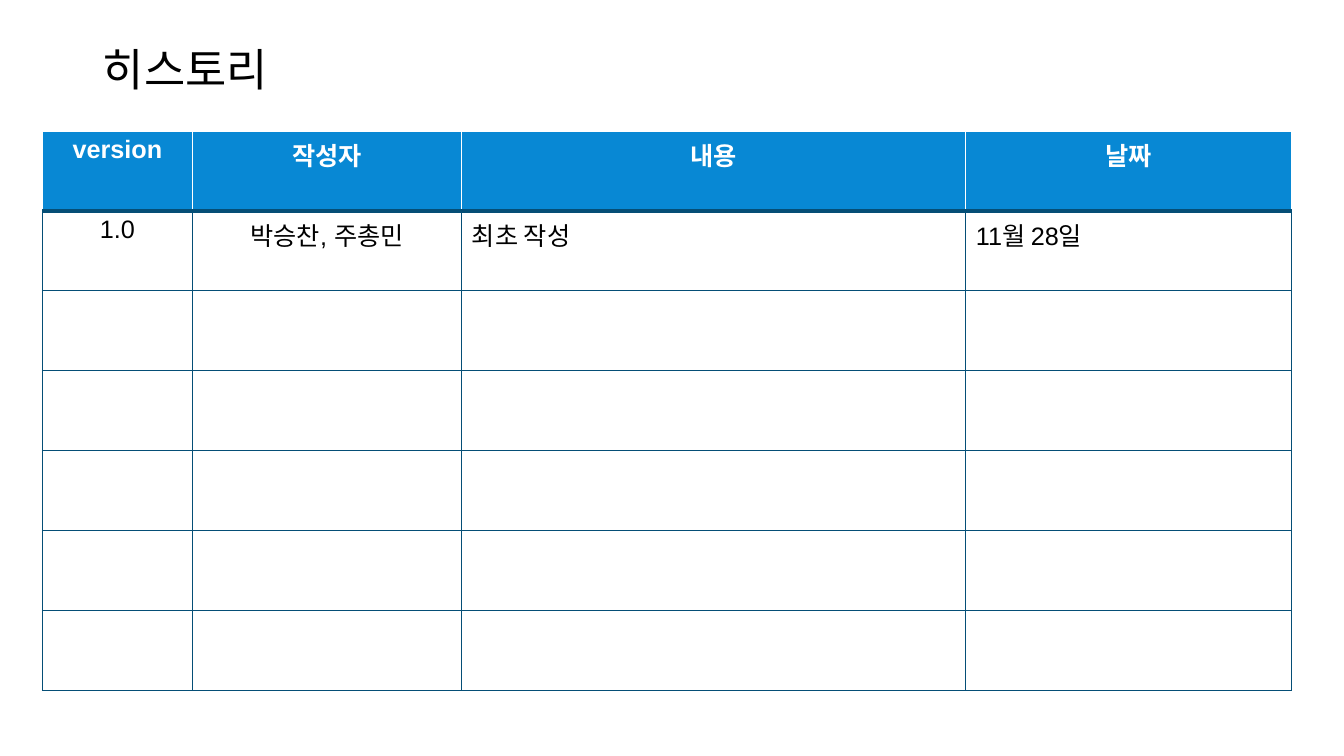
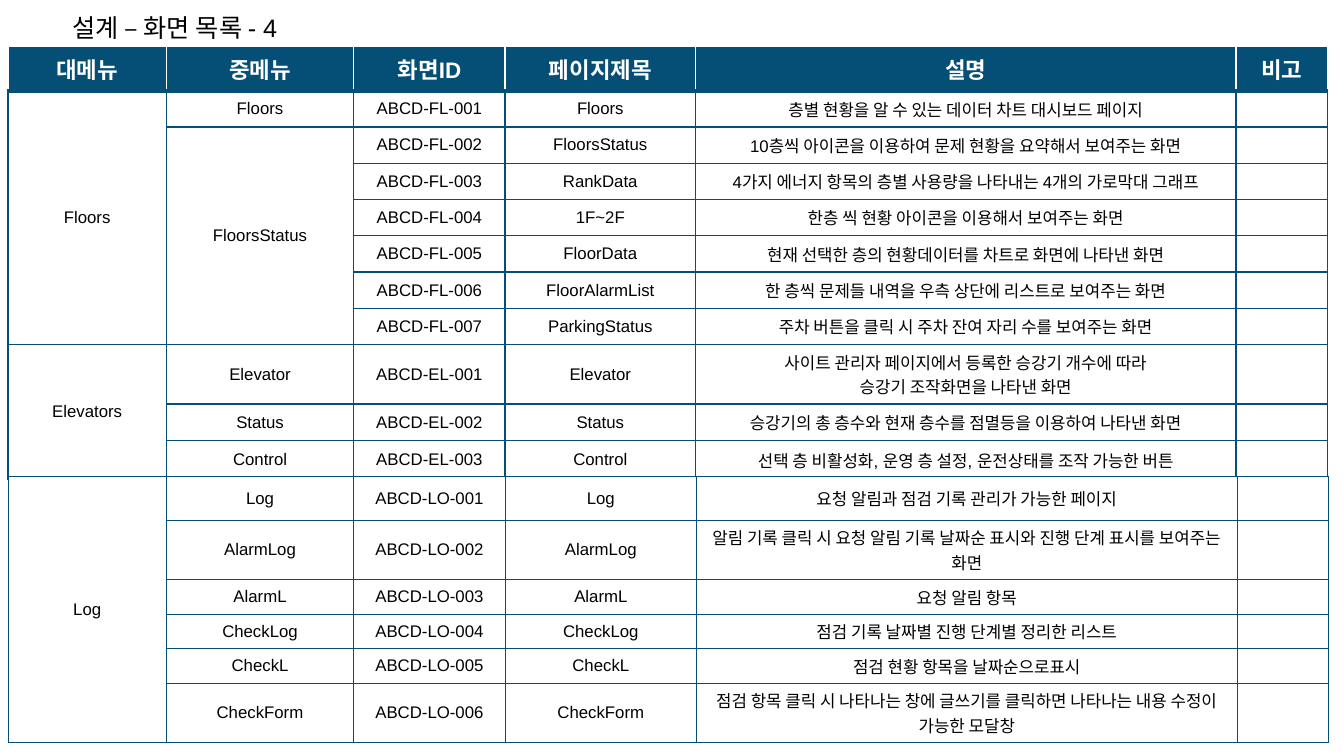
from lxml import etree
from pptx import Presentation
from pptx import util as u
from pptx.dml import color as dml
from pptx.enum import text as t
from pptx.oxml import ns

COLORS = {
    "black": "000000",
    "white": "FFFFFF",
    "blue": "0888D4",
    "navy": "054E76",
}
FONT = "Arial"
CENTER, LEFT = t.PP_ALIGN.CENTER, t.PP_ALIGN.LEFT
TOP, MIDDLE = t.MSO_ANCHOR.TOP, t.MSO_ANCHOR.MIDDLE


def write_text(frame, text, size, color="black", bold=False, align=LEFT, spacing=None):
    for index, line in enumerate(text.split("\n")):
        paragraph = frame.add_paragraph() if index else frame.paragraphs[0]
        paragraph.alignment = align
        if spacing:
            paragraph.line_spacing = spacing
        if not line:
            etree.SubElement(paragraph._p, ns.qn("a:endParaRPr"), sz=str(size * 100))
            continue
        run = paragraph.add_run()
        run.text = line
        run.font.name = FONT
        run.font.size = u.Pt(size)
        run.font.bold = bold
        run.font.color.rgb = dml.RGBColor.from_string(COLORS[color])


def draw_table(slide, rows, left, top, widths, heights, size, anchor,
               header=None, left_columns=(), merges=(), line=1):
    table = slide.shapes.add_table(
        len(rows), len(widths), u.Inches(left), u.Inches(top),
        u.Inches(sum(widths)), u.Inches(sum(heights))).table
    table.first_row = header is not None
    table.horz_banding = False
    for column, width in zip(table.columns, widths):
        column.width = u.Inches(width)
    for row, height in zip(table.rows, heights):
        row.height = u.Inches(height)
    for first_row, column, count in merges:
        table.cell(first_row, column).merge(table.cell(first_row + count - 1, column))

    for row_index, row in enumerate(rows):
        is_header = header is not None and row_index == 0
        below_header = header is not None and row_index == 1
        side = ("white" if is_header else "navy", line)
        borders = {
            "lnL": side,
            "lnR": side,
            "lnT": ("navy", 3) if below_header else side,
            "lnB": ("navy", 3) if is_header else side,
        }
        for column_index, text in enumerate(row):
            cell = table.cell(row_index, column_index)
            cell.vertical_anchor = anchor
            cell.fill.solid()
            cell.fill.fore_color.rgb = dml.RGBColor.from_string(
                COLORS[header if is_header else "white"])
            properties = cell._tc.get_or_add_tcPr()
            for position, (tag, (color, points)) in enumerate(borders.items()):
                border = etree.Element(ns.qn("a:" + tag), w=str(u.Pt(points)))
                fill = etree.SubElement(border, ns.qn("a:solidFill"))
                etree.SubElement(fill, ns.qn("a:srgbClr"), val=COLORS[color])
                properties.insert(position, border)
            if is_header:
                write_text(cell.text_frame, text, header_sizes[header], color="white",
                           bold=True, align=CENTER)
            else:
                write_text(cell.text_frame, text, size,
                           align=LEFT if column_index in left_columns else CENTER)


header_sizes = {"blue": 18, "navy": 16}

presentation = Presentation()
presentation.slide_width = u.Inches(13.33)
presentation.slide_height = u.Inches(7.5)

titles = [
    ("히스토리", 32, (0.92, 0.38, 11.5, 0.67)),
    ("설계 – 화면 목록 - 4", 18, (0.62, 0, 3.95, 0.59)),
]
slides = []
for text, size, box in titles:
    slide = presentation.slides.add_slide(presentation.slide_layouts[5])
    title = slide.shapes.title
    title.left, title.top, title.width, title.height = map(u.Inches, box)
    title.text_frame.auto_size = t.MSO_AUTO_SIZE.NONE
    title.text_frame.word_wrap = True
    title.text_frame.vertical_anchor = MIDDLE
    write_text(title.text_frame, text, size, spacing=0.9)
    slides.append(slide)
history_slide, screens_slide = slides

history_rows = [
    ["version", "작성자", "내용", "날짜"],
    ["1.0", "박승찬, 주총민", "최초 작성", "11월 28일"],
] + [[""] * 4] * 5
draw_table(history_slide, history_rows, 0.42, 1.3, [1.49, 2.67, 5, 3.23],
           [5.55 / 7] * 7, 18, TOP, header="blue", left_columns=(2, 3))

screen_rows = [
    ["대메뉴", "중메뉴", "화면ID", "페이지제목", "설명", "비고"],
    ["Floors", "Floors", "ABCD-FL-001", "Floors",
     "층별 현황을 알 수 있는 데이터 차트 대시보드 페이지", ""],
    ["", "FloorsStatus", "ABCD-FL-002", "FloorsStatus",
     "10층씩 아이콘을 이용하여 문제 현황을 요약해서 보여주는 화면", ""],
    ["", "", "ABCD-FL-003", "RankData",
     "4가지 에너지 항목의 층별 사용량을 나타내는 4개의 가로막대 그래프", ""],
    ["", "", "ABCD-FL-004", "1F~2F",
     "한층 씩 현황 아이콘을 이용해서 보여주는 화면", ""],
    ["", "", "ABCD-FL-005", "FloorData",
     "현재 선택한 층의 현황데이터를 차트로 화면에 나타낸 화면", ""],
    ["", "", "ABCD-FL-006", "FloorAlarmList",
     "한 층씩 문제들 내역을 우측 상단에 리스트로 보여주는 화면", ""],
    ["", "", "ABCD-FL-007", "ParkingStatus",
     "주차 버튼을 클릭 시 주차 잔여 자리 수를 보여주는 화면", ""],
    ["Elevators", "Elevator", "ABCD-EL-001", "Elevator",
     "사이트 관리자 페이지에서 등록한 승강기 개수에 따라\n승강기 조작화면을 나타낸 화면", ""],
    ["", "Status", "ABCD-EL-002", "Status",
     "승강기의 총 층수와 현재 층수를 점멸등을 이용하여 나타낸 화면", ""],
    ["", "Control", "ABCD-EL-003", "Control",
     "선택 층 비활성화, 운영 층 설정, 운전상태를 조작 가능한 버튼", ""],
]
draw_table(screens_slide, screen_rows, 0.08, 0.46, [1.57, 1.86, 1.5, 1.89, 5.36, 0.91],
           [0.44] + [0.36] * 7 + [0.59, 0.36, 0.39], 12, MIDDLE, header="navy",
           merges=[(1, 0, 7), (2, 1, 6), (8, 0, 3)])

log_rows = [
    ["Log", "Log", "ABCD-LO-001", "Log",
     "요청 알림과 점검 기록 관리가 가능한 페이지", ""],
    ["", "AlarmLog", "ABCD-LO-002", "AlarmLog",
     "알림 기록 클릭 시 요청 알림 기록 날짜순 표시와 진행 단계 표시를 보여주는 화면", ""],
    ["", "AlarmL", "ABCD-LO-003", "AlarmL", "요청 알림 항목", ""],
    ["", "CheckLog", "ABCD-LO-004", "CheckLog",
     "점검 기록 날짜별 진행 단계별 정리한 리스트", ""],
    ["", "CheckL", "ABCD-LO-005", "CheckL", "점검 현황 항목을 날짜순으로표시", ""],
    ["", "CheckForm", "ABCD-LO-006", "CheckForm",
     "점검 항목 클릭 시 나타나는 창에 글쓰기를 클릭하면 나타나는 내용 수정이 가능한 모달창", ""],
]
draw_table(screens_slide, log_rows, 0.08, 4.73, [1.57, 1.86, 1.5, 1.9, 5.36, 0.91],
           [0.43, 0.59, 0.34, 0.34, 0.34, 0.59], 12, MIDDLE,
           merges=[(0, 0, 6)], line=0.75)

presentation.save("out.pptx")
